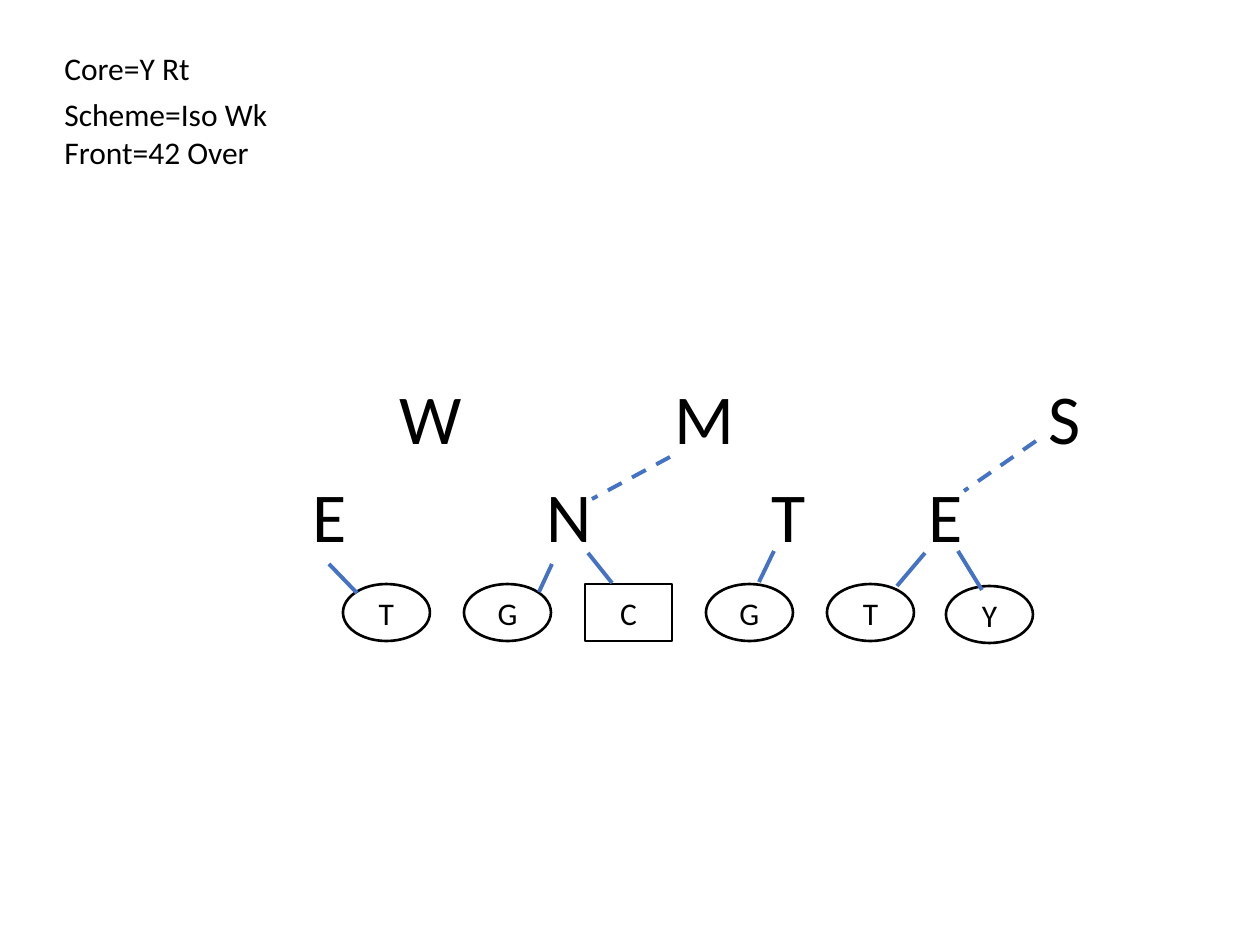
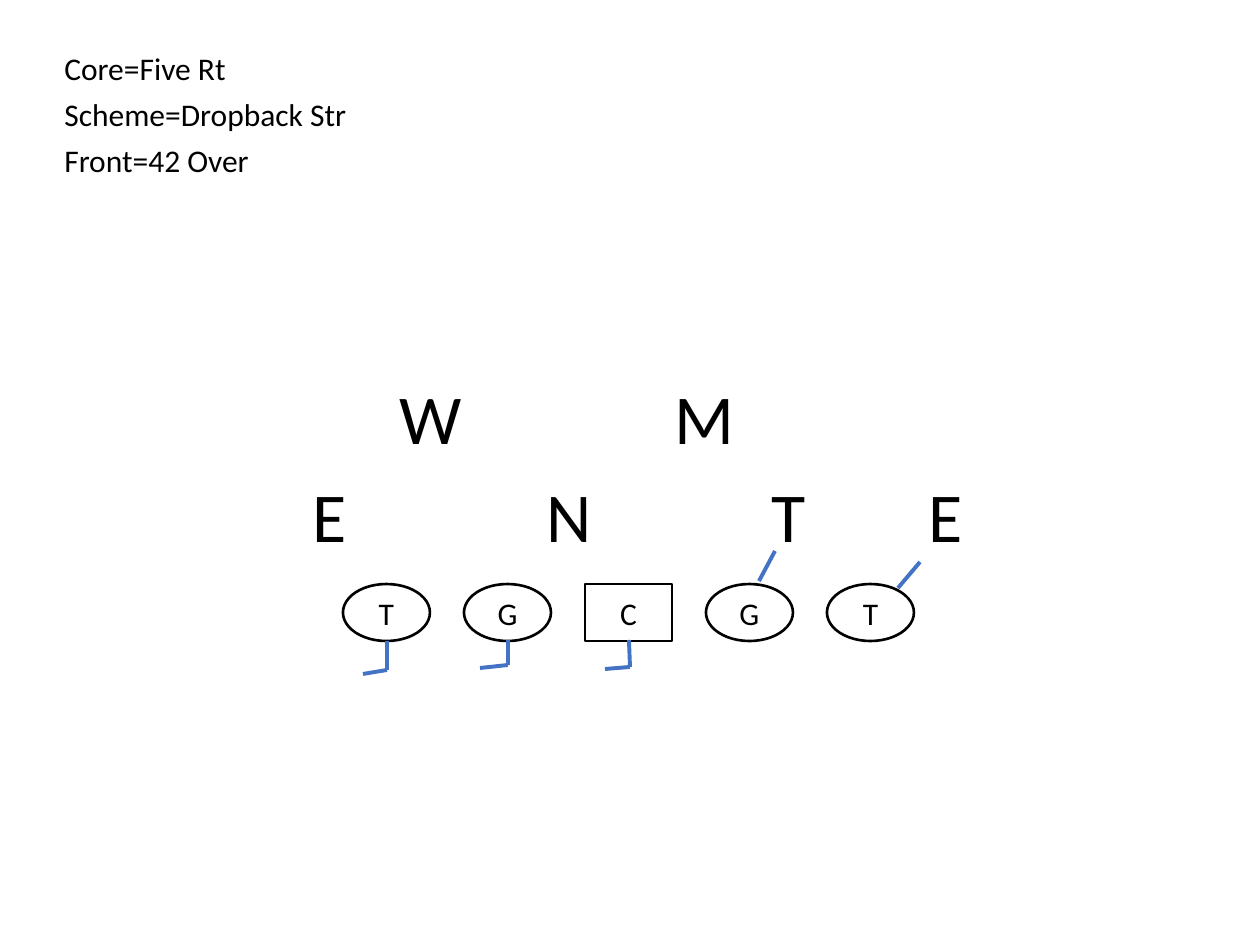
import itertools

import pptx
import pptx.dml.color
import pptx.enum.dml
import pptx.enum.shapes
import pptx.enum.text
import pptx.util
from lxml import etree
from pptx.oxml.ns import qn

SCALE = 914400 / 126
FONT = "Calibri"
BLACK, WHITE, BLUE = "000000", "FFFFFF", "4472C4"
FORMS = pptx.enum.shapes.MSO_SHAPE
ALIGN = pptx.enum.text.PP_ALIGN

# Offensive line: left of the first player, step, top and size
FIRST, STEP, ROW = 343, 121, 584
WIDE, HIGH = 87, 57

# Defenders: name, left, width
FRONT = [("E", 300, 60), ("N", 534, 71), ("T", 759, 60), ("E", 916, 60)]
BACKERS = [("W", 387, 88), ("M", 662, 88)]
FRONT_TOP, BACK_TOP = 466, 368


def px(num):
    """Turn pixels into EMU."""
    return pptx.util.Emu(round(num * SCALE))


def color(code):
    """Turn a hex string into a colour."""
    return pptx.dml.color.RGBColor.from_string(code)


def write(frame, text, size, align):
    """Put one styled paragraph in a text frame."""
    para = frame.paragraphs[0]
    para.text = text
    para.alignment = align
    para.font.name = FONT
    para.font.size = pptx.util.Pt(size)
    para.font.color.rgb = color(BLACK)


def label(slide, text, left, top, width, height, size):
    """Add an unwrapped text box that fits its text."""
    box = slide.shapes.add_textbox(px(left), px(top), px(width), px(height))
    frame = box.text_frame
    frame.word_wrap = False
    frame.auto_size = pptx.enum.text.MSO_AUTO_SIZE.SHAPE_TO_FIT_TEXT
    write(frame, text, size, ALIGN.LEFT)


def player(slide, name, left, top=ROW):
    """Add a lineman: a box for the center, an oval for the rest."""
    form = FORMS.RECTANGLE if name == "C" else FORMS.OVAL
    shape = slide.shapes.add_shape(form, px(left), px(top), px(WIDE), px(HIGH))
    shape.shadow.inherit = False
    shape.fill.solid()
    shape.fill.fore_color.rgb = color(WHITE)
    shape.line.color.rgb = color(BLACK)
    shape.line.width = pptx.util.Pt(1.5)
    frame = shape.text_frame
    frame.vertical_anchor = pptx.enum.text.MSO_ANCHOR.MIDDLE
    write(frame, name, 18, ALIGN.CENTER)


def route(slide, *points, dash=False):
    """Join the points in turn with blue lines."""
    for start, end in itertools.pairwise(points):
        line = slide.shapes.add_connector(
            pptx.enum.shapes.MSO_CONNECTOR.STRAIGHT,
            *map(px, start), *map(px, end))
        line.line.color.rgb = color(BLUE)
        line.line.width = pptx.util.Pt(2.25)
        if dash:
            line.line.dash_style = pptx.enum.dml.MSO_LINE.DASH
        etree.SubElement(line._element.spPr, qn("a:effectLst"))


def defender(slide, name, left, width, top):
    """Add the large letter of a defender."""
    label(slide, name, left, top, width, 97, 40)


def play(deck, notes):
    """Add a slide with its notes, the line and the defence."""
    slide = deck.slides.add_slide(deck.slide_layouts[6])
    for text, top, width in notes:
        label(slide, text, 52, top, width, 50, 18)
    for i, name in enumerate("TGCGT"):
        player(slide, name, FIRST + i * STEP)
    for top, group in ((FRONT_TOP, FRONT), (BACK_TOP, BACKERS)):
        for name, left, width in group:
            defender(slide, name, left, width, top)
    return slide


def iso(deck):
    """Build the run play with a tight end."""
    slide = play(deck, [("Core=Y Rt", 43, 152), ("Scheme=Iso Wk", 89, 231),
                        ("Front=42 Over", 127, 219)])
    player(slide, "Y", 946, ROW + 2)
    defender(slide, "S", 1036, 60, BACK_TOP)
    for start, end in [((329, 564), (357, 593)), ((552, 564), (539, 592)),
                       ((588, 553), (612, 583)), ((774, 551), (759, 582)),
                       ((925, 553), (897, 586)), ((958, 551), (982, 590))]:
        route(slide, start, end)
    route(slide, (1036, 441), (964, 491), dash=True)
    route(slide, (670, 457), (592, 499), dash=True)


def dropback(deck):
    """Build the pass play with a five-man line."""
    slide = play(deck, [("Core=Five Rt", 43, 189),
                        ("Scheme=Dropback Str", 89, 310),
                        ("Front=42 Over", 135, 212)])
    route(slide, (920, 562), (898, 588))
    route(slide, (775, 551), (759, 581))
    route(slide, (629, 640), (630, 667), (605, 669))
    route(slide, (508, 640), (508, 665), (480, 668))
    route(slide, (387, 641), (387, 670), (363, 674))


def main():
    """Build and save the deck."""
    deck = pptx.Presentation()
    deck.slide_width, deck.slide_height = px(1260), px(945)
    iso(deck)
    dropback(deck)
    deck.save("out.pptx")


main()
